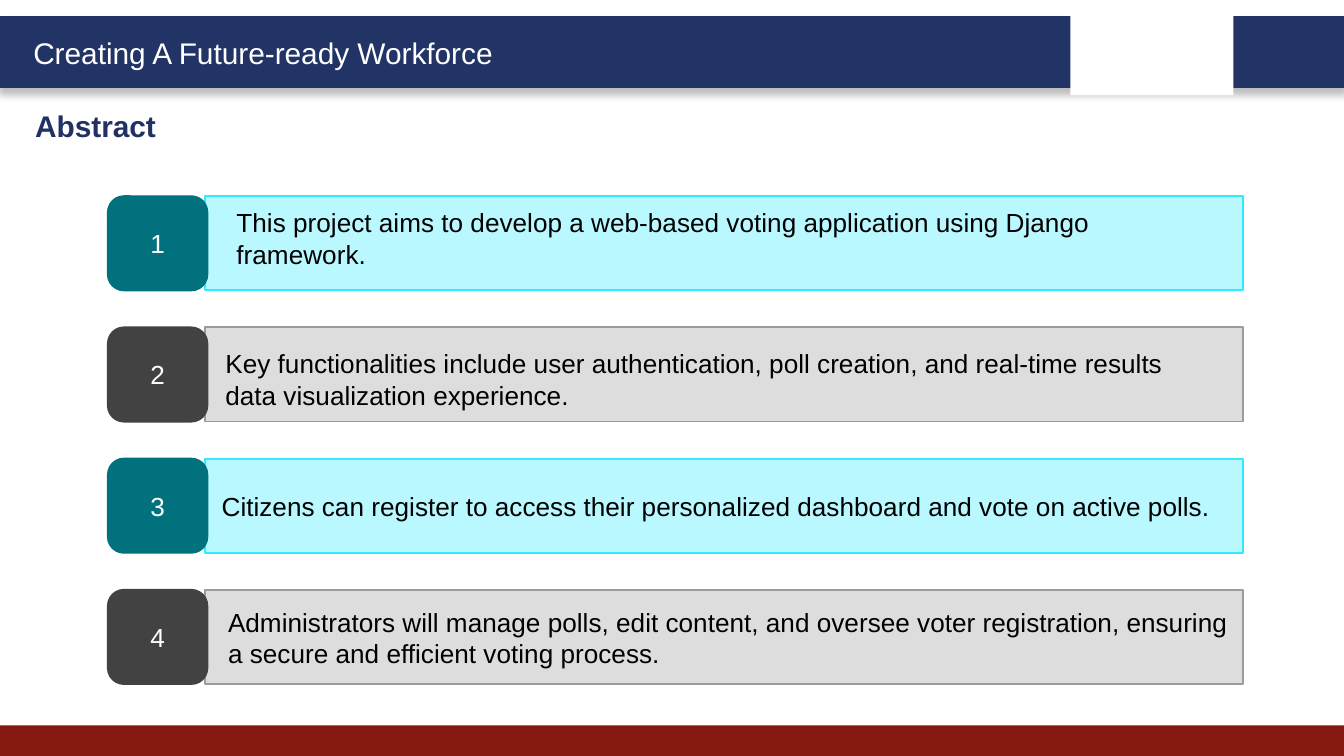
from dataclasses import dataclass

from lxml import etree
from pptx import Presentation
from pptx import util as u
from pptx.dml.color import RGBColor
from pptx.enum import shapes, text
from pptx.oxml.ns import qn


@dataclass(frozen=True)
class Theme:
    font: str = "Arial"
    heading_size: int = 16
    body_size: int = 14
    white: str = "FFFFFF"
    black: str = "000000"
    navy: str = "223366"
    title: str = "213163"
    footer: str = "851910"
    # Each row scheme: panel fill, panel line, badge fill
    schemes: tuple = (
        ("BAF8FF", "31EAFE", "00717D"),
        ("DDDDDD", "9B9B9B", "424242"),
    )


class SlideBuilder:
    def __init__(self, slide, theme):
        self.slide = slide
        self.theme = theme

    def block(self, bounds, fill, line=None, width=1, kind=shapes.MSO_SHAPE.RECTANGLE):
        box = self.slide.shapes.add_shape(kind, *map(u.Cm, bounds))
        box.shadow.inherit = False
        box.fill.solid()
        box.fill.fore_color.rgb = RGBColor.from_string(fill)
        if line:
            box.line.color.rgb = RGBColor.from_string(line)
            box.line.width = u.Pt(width)
        else:
            box.line.fill.background()
        return box

    def set_words(self, box, words, size, color, bold=False, align=text.PP_ALIGN.LEFT,
                  anchor=text.MSO_ANCHOR.TOP):
        frame = box.text_frame
        frame.text = words
        frame.word_wrap = True
        frame.auto_size = text.MSO_AUTO_SIZE.NONE
        frame.vertical_anchor = anchor
        para = frame.paragraphs[0]
        para.alignment = align
        font = para.runs[0].font
        font.name = self.theme.font
        font.size = u.Pt(size)
        font.bold = bold
        font.color.rgb = RGBColor.from_string(color)

    def label(self, bounds, words, size, color):
        box = self.slide.shapes.add_textbox(*map(u.Cm, bounds))
        self.set_words(box, words, size, color)

    def title(self, bounds, words):
        box = self.slide.shapes.title
        box.left, box.top, box.width, box.height = map(u.Cm, bounds)
        self.set_words(box, words, self.theme.heading_size, self.theme.title, bold=True)

    def badge(self, bounds, number, fill):
        box = self.block(bounds, fill, fill, kind=shapes.MSO_SHAPE.ROUNDED_RECTANGLE)
        box.adjustments[0] = 0.17
        self.set_words(box, str(number), self.theme.body_size, self.theme.white,
                       align=text.PP_ALIGN.CENTER, anchor=text.MSO_ANCHOR.MIDDLE)

    def drop_shadow(self, box, blur, distance, opacity):
        effects = box._element.spPr.find(qn("a:effectLst"))
        shadow = etree.SubElement(
            effects, qn("a:outerShdw"), blurRad=str(u.Pt(blur)),
            dist=str(u.Pt(distance)), dir="5400000", algn="t", rotWithShape="0")
        color = etree.SubElement(shadow, qn("a:srgbClr"), val=self.theme.black)
        etree.SubElement(color, qn("a:alpha"), val=str(opacity * 1000))


# Row text with the left, top, width and height of its box in cm
ROWS = [
    ("This project aims to develop a web-based voting application using Django framework.",
     (4.22, 3.78, 18.29, 1.45)),
    ("Key functionalities include user authentication, poll creation, and real-time "
     "results data visualization experience.",
     (4.01, 6.45, 19.15, 1.45)),
    ("Citizens can register to access their personalized dashboard and vote on active polls.",
     (3.94, 9.14, 19.3, 0.86)),
    ("Administrators will manage polls, edit content, and oversee voter registration, "
     "ensuring a secure and efficient voting process.",
     (4.06, 11.33, 19.61, 1.45)),
]
ROW_TOP, ROW_PITCH, ROW_HEIGHT = 3.71, 2.48, 1.78
PAGE_WIDTH, PAGE_HEIGHT = 25.4, 14.29


def main():
    deck = Presentation()
    deck.slide_width, deck.slide_height = u.Cm(PAGE_WIDTH), u.Cm(PAGE_HEIGHT)
    theme = Theme()
    page = SlideBuilder(deck.slides.add_slide(deck.slide_layouts[5]), theme)

    # Header and footer bands
    header = page.block((0, 0.33, PAGE_WIDTH, 1.3), theme.navy, theme.navy, 2)
    page.drop_shadow(header, blur=4, distance=3, opacity=25)
    page.block((0, 13.71, PAGE_WIDTH, 0.58), theme.footer)
    page.block((20.23, 0.18, 3.08, 1.62), theme.white)
    page.label((0.38, 0.53, 9.6, 0.94), "Creating A Future-ready Workforce",
               theme.heading_size, theme.white)

    # Title
    page.title((0.41, 1.9, 12.29, 0.94), "Abstract")

    # Numbered rows in alternating colours
    for index, (words, bounds) in enumerate(ROWS):
        top = ROW_TOP + index * ROW_PITCH
        fill, line, accent = theme.schemes[index % len(theme.schemes)]
        page.block((3.88, top, 19.61, ROW_HEIGHT), fill, line)
        page.badge((2.04, top, 1.88, ROW_HEIGHT), index + 1, accent)
        page.label(bounds, words, theme.body_size, theme.black)

    deck.save("out.pptx")


if __name__ == "__main__":
    main()
